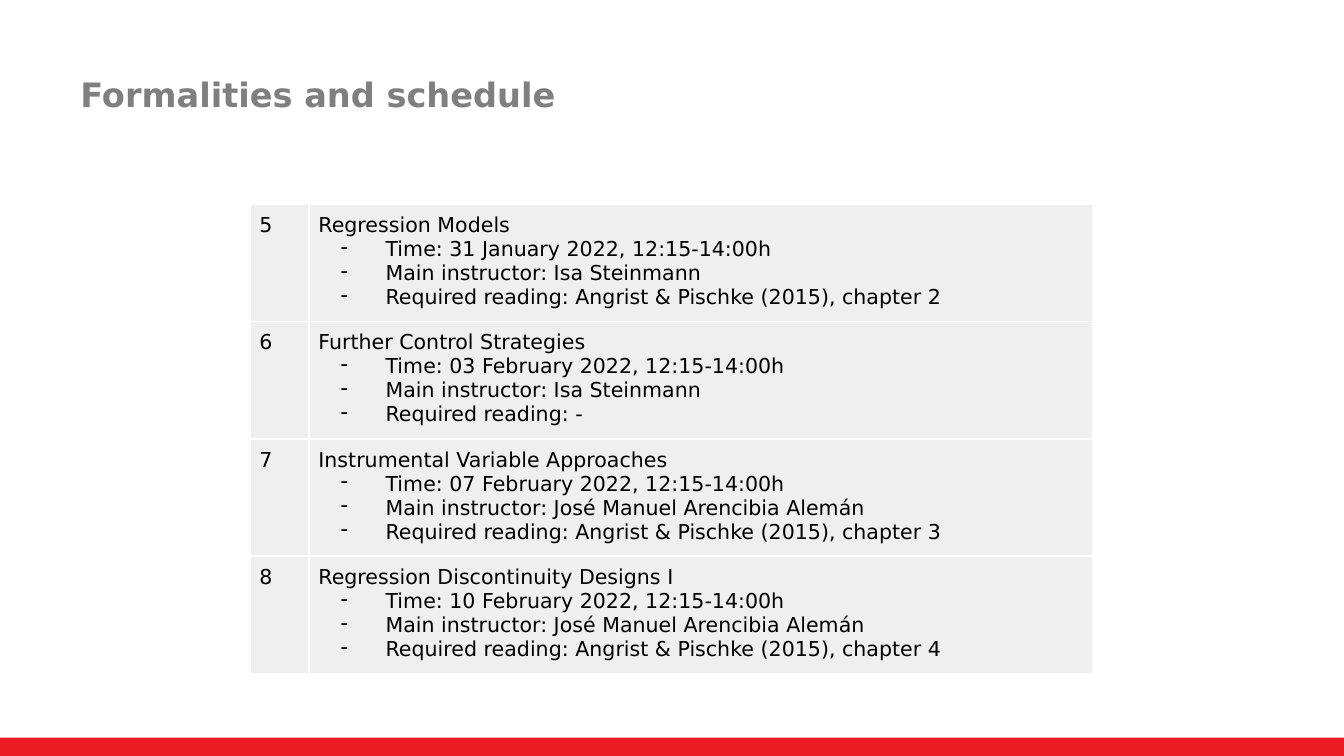
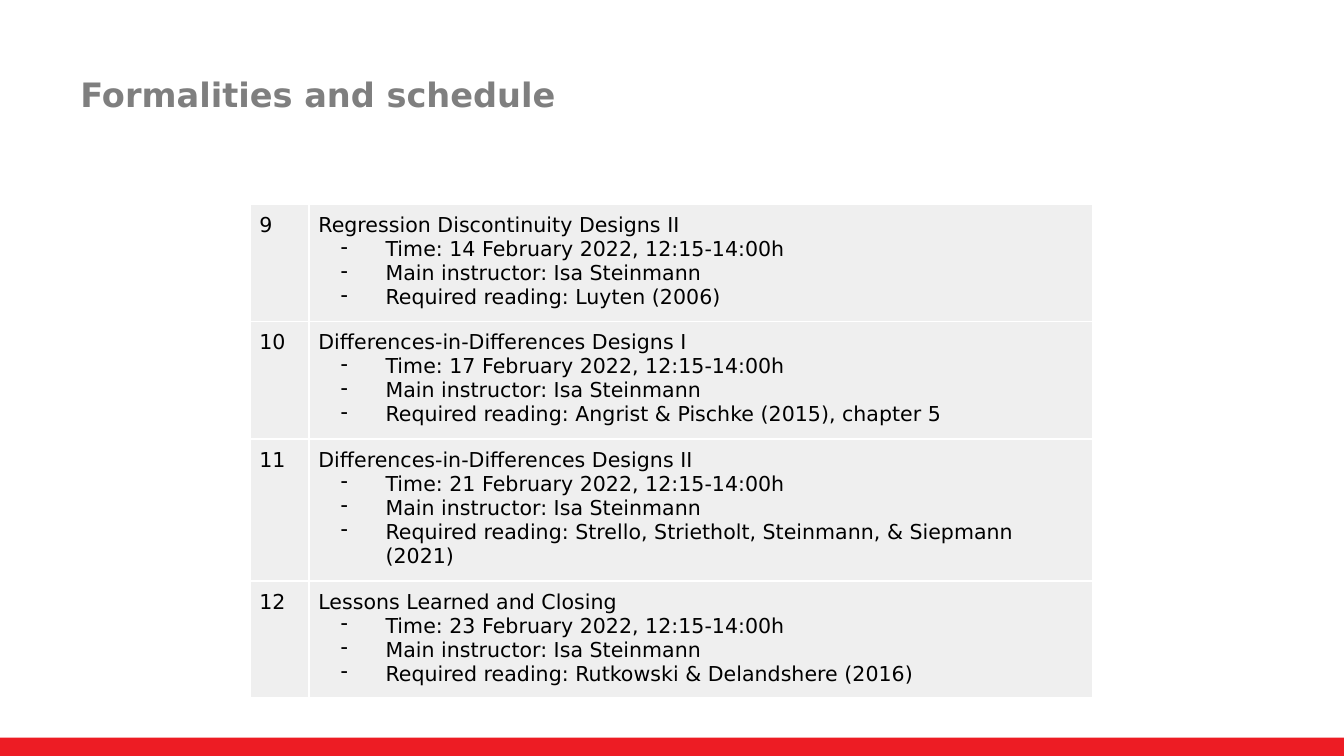
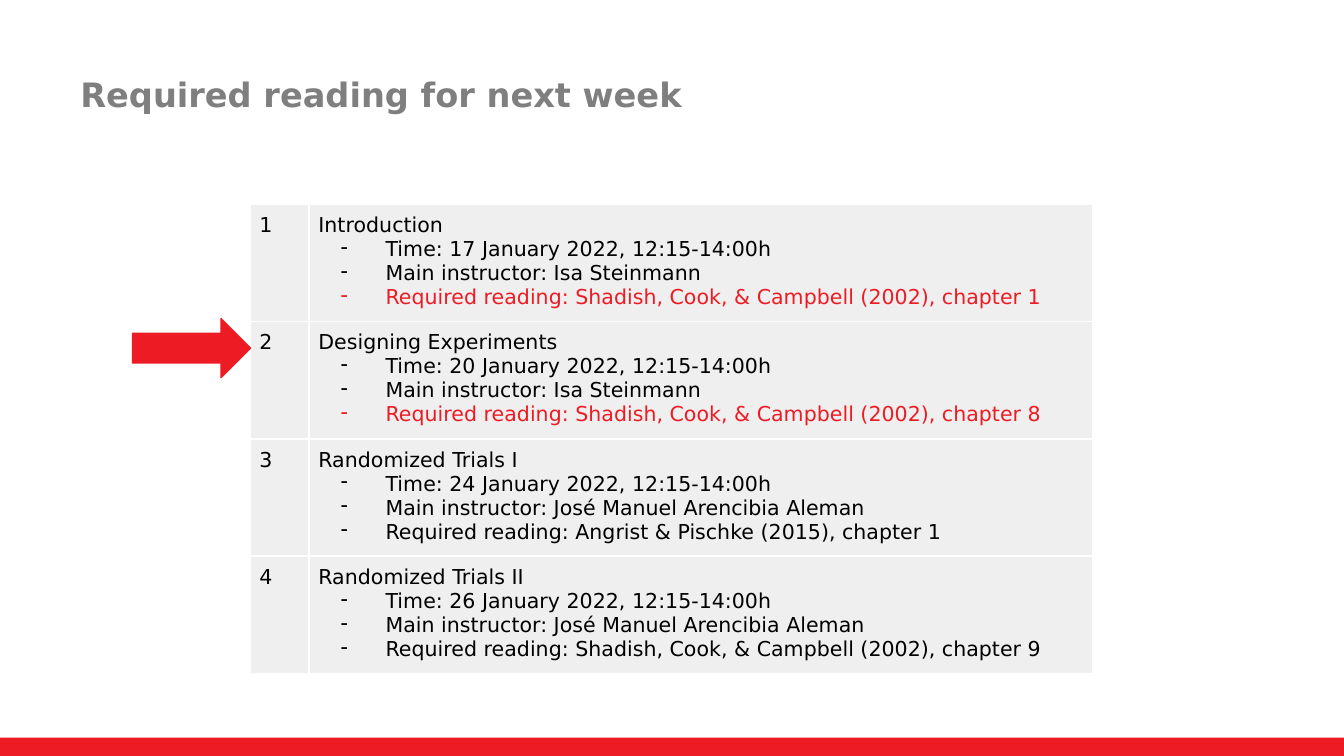
from lxml import etree
from pptx import Presentation
from pptx import util as u
from pptx.dml import color
from pptx.enum import shapes, text
from pptx.oxml import ns

Pt = u.Pt
WIDE, HIGH = 720, 405
FONT = "DejaVu Sans"
HEX = {"red": "ED1C24", "gray": "7F7F7F", "cell": "EFEFEF",
       "ink": "000000", "white": "FFFFFF"}
LEFT, TOP, ROW = 134, 109.4, 61.1
COLS = (31.6, 419.8)

ISA = "Isa Steinmann"
JOSE = "José Manuel Arencibia Alemán"
ALEMAN = "José Manuel Arencibia Aleman"
BOOK = "Angrist & Pischke (2015), chapter "
COOK = "Shadish, Cook, & Campbell (2002), chapter "

# Each session: number, topic, day, instructor, reading
MIDDLE = [
    (5, "Regression Models", "31 January", ISA, BOOK + "2"),
    (6, "Further Control Strategies", "03 February", ISA, "-"),
    (7, "Instrumental Variable Approaches", "07 February", JOSE, BOOK + "3"),
    (8, "Regression Discontinuity Designs I", "10 February", JOSE, BOOK + "4"),
]
FINAL = [
    (9, "Regression Discontinuity Designs II", "14 February", ISA,
     "Luyten (2006)"),
    (10, "Differences-in-Differences Designs I", "17 February", ISA,
     BOOK + "5"),
    (11, "Differences-in-Differences Designs II", "21 February", ISA,
     "Strello, Strietholt, Steinmann, & Siepmann (2021)"),
    (12, "Lessons Learned and Closing", "23 February", ISA,
     "Rutkowski & Delandshere (2016)"),
]
START = [
    (1, "Introduction", "17 January", ISA, COOK + "1"),
    (2, "Designing Experiments", "20 January", ISA, COOK + "8"),
    (3, "Randomized Trials I", "24 January", ALEMAN, BOOK + "1"),
    (4, "Randomized Trials II", "26 January", ALEMAN, COOK + "9"),
]


def rgb(name):
    return color.RGBColor.from_string(HEX[name])


def node(parent, tag, **attrs):
    return etree.SubElement(parent, ns.qn(tag), attrs)


class Deck:
    """Holds the style, the presentation and the current slide."""

    def __init__(self):
        self.prs = Presentation()
        self.prs.slide_width, self.prs.slide_height = Pt(WIDE), Pt(HIGH)
        self.slide = None

    def page(self, title):
        self.slide = self.prs.slides.add_slide(self.prs.slide_layouts[6])
        self.shape(shapes.MSO_SHAPE.RECTANGLE, 0, 395.25, WIDE, 9.75)
        self.title(title)

    def shape(self, kind, x, y, w, h, line=None):
        item = self.slide.shapes.add_shape(kind, Pt(x), Pt(y), Pt(w), Pt(h))
        item.shadow.inherit = False
        item.fill.solid()
        item.fill.fore_color.rgb = rgb("red")
        if line:
            item.line.color.rgb = rgb("red")
            item.line.width = Pt(line)
        else:
            item.line.fill.background()

    def run(self, para, words, size=11, hue="ink", bold=False):
        run = para.add_run()
        run.text = words
        run.font.name, run.font.size, run.font.bold = FONT, Pt(size), bold
        run.font.color.rgb = rgb(hue)

    def title(self, words):
        box = self.slide.shapes.add_textbox(Pt(36), Pt(16.6), Pt(551), Pt(67.6))
        frame = box.text_frame
        frame.word_wrap = True
        frame.vertical_anchor = text.MSO_ANCHOR.MIDDLE
        self.run(frame.paragraphs[0], words, 18, "gray", True)

    def bullet(self, frame, words, hue="ink"):
        para = frame.add_paragraph()
        props = para._p.get_or_add_pPr()
        props.set("marL", str(Pt(36)))
        props.set("indent", str(Pt(-24)))
        node(node(props, "a:buClr"), "a:srgbClr", val=HEX[hue])
        node(props, "a:buChar", char="-")
        self.run(para, words, hue=hue)

    def cell(self, cell, words):
        """Style a cell, write its first line and return its text frame."""
        cell.margin_left = cell.margin_right = Pt(5)
        cell.margin_top = cell.margin_bottom = Pt(5)
        props = cell._tc.get_or_add_tcPr()
        for side in "LRTB":
            edge = node(props, f"a:ln{side}", w=str(Pt(1)))
            node(node(edge, "a:solidFill"), "a:srgbClr", val=HEX["white"])
        cell.fill.solid()
        cell.fill.fore_color.rgb = rgb("cell")
        self.run(cell.text_frame.paragraphs[0], words)
        return cell.text_frame

    def table(self, plan, marked=()):
        """Draw the sessions, with the reading of the marked ones in red."""
        grid = self.slide.shapes.add_table(
            len(plan), len(COLS), Pt(LEFT), Pt(TOP),
            Pt(sum(COLS)), Pt(ROW * len(plan))).table
        grid.first_row = grid.horz_banding = False
        for col, width in zip(grid.columns, COLS):
            col.width = Pt(width)
        for row, (number, topic, day, tutor, reading) in zip(grid.rows, plan):
            row.height = Pt(ROW)
            self.cell(row.cells[0], str(number))
            frame = self.cell(row.cells[1], topic)
            self.bullet(frame, f"Time: {day} 2022, 12:15-14:00h")
            self.bullet(frame, f"Main instructor: {tutor}")
            self.bullet(frame, f"Required reading: {reading}",
                        "red" if number in marked else "ink")

    def arrow(self):
        self.shape(shapes.MSO_SHAPE.RIGHT_ARROW, 71, 170.7, 63.2, 31.6, 0.75)


def main():
    deck = Deck()
    for plan in (MIDDLE, FINAL):
        deck.page("Formalities and schedule")
        deck.table(plan)
    deck.page("Required reading for next week")
    deck.table(START, marked=(1, 2))
    deck.arrow()
    deck.prs.save("out.pptx")


if __name__ == "__main__":
    main()
